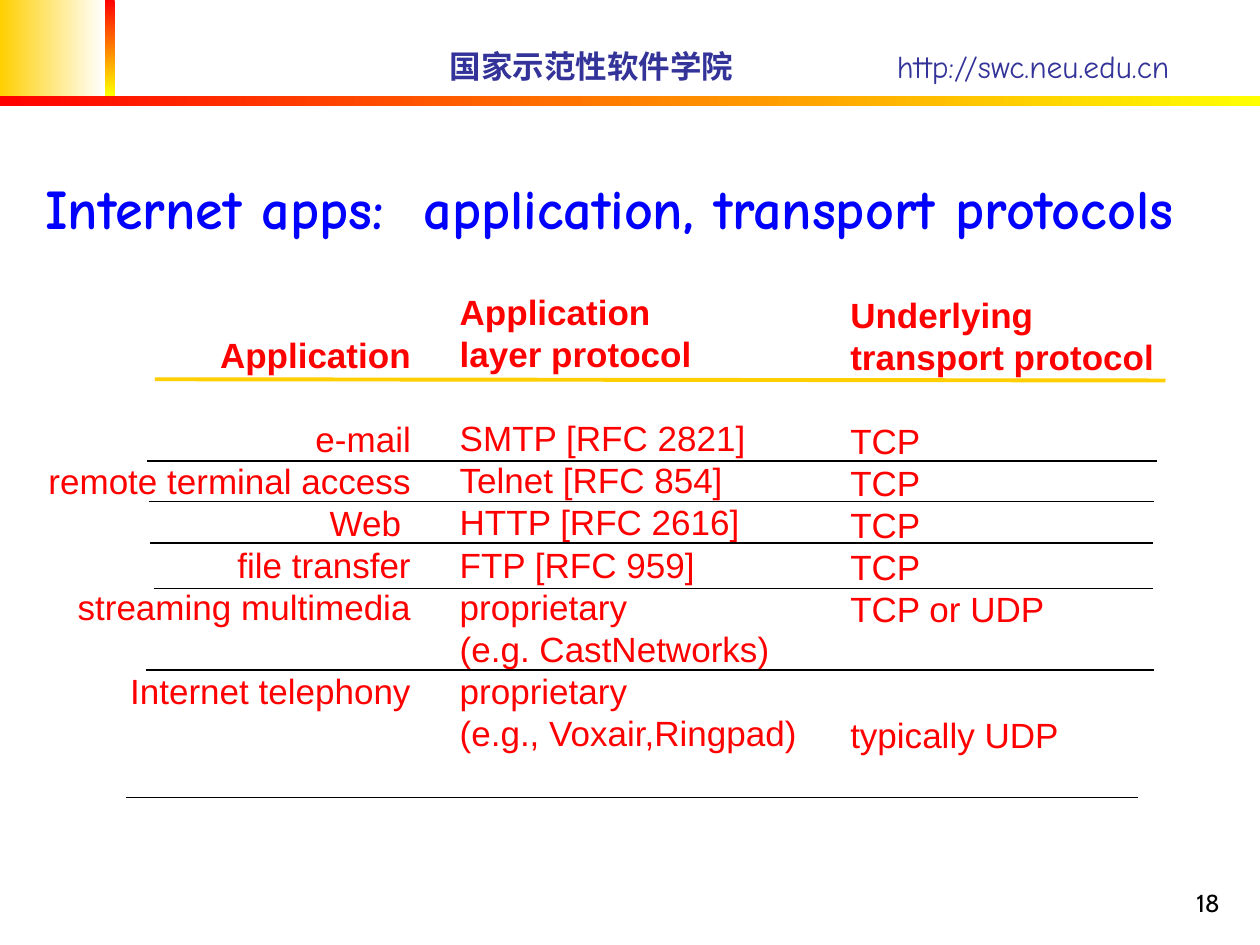
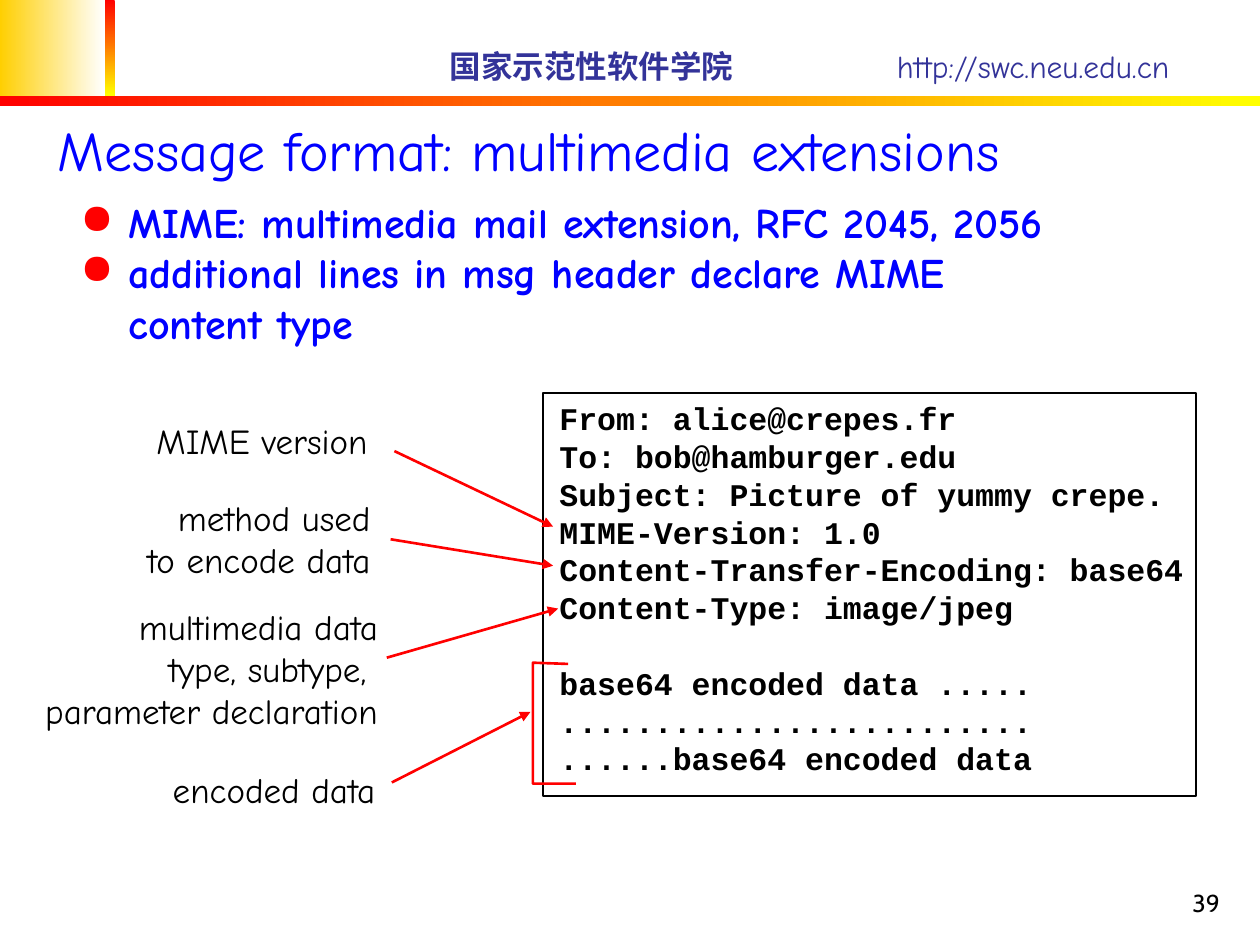
from dataclasses import dataclass

from lxml import etree
from pptx import Presentation
from pptx.dml.color import RGBColor
from pptx.enum.shapes import MSO_CONNECTOR, MSO_SHAPE
from pptx.enum.text import MSO_ANCHOR, PP_ALIGN
from pptx.oxml.ns import qn
from pptx.util import Inches, Pt

LEFT, CENTER, RIGHT = PP_ALIGN.LEFT, PP_ALIGN.CENTER, PP_ALIGN.RIGHT
TOP, MIDDLE, BOTTOM = MSO_ANCHOR.TOP, MSO_ANCHOR.MIDDLE, MSO_ANCHOR.BOTTOM
RECTANGLE, STRAIGHT = MSO_SHAPE.RECTANGLE, MSO_CONNECTOR.STRAIGHT


@dataclass(frozen=True)
class Theme:
    gold: str = "FFCF01"
    white: str = "FFFFFF"
    red: str = "FF0000"
    yellow: str = "FFFF00"
    blue: str = "0000FF"
    navy: str = "333399"
    black: str = "000000"
    font: str = "Comic Neue"
    column_font: str = "Arial"
    code_font: str = "Courier New"
    number_font: str = "Cabin"
    title_size: int = 32
    bullet_size: int = 24
    text_size: int = 20
    small_size: int = 18
    number_size: int = 14
    leading: float = 1.2


THEME = Theme()


def rgb(color):
    return RGBColor.from_string(color)


def inches(values):
    return [Inches(v) for v in values]


def add_bullet(p):
    p_pr = p._p.get_or_add_pPr()
    p_pr.set("marL", str(Inches(0.38)))
    p_pr.set("indent", str(Inches(-0.38)))
    color = etree.SubElement(p_pr, qn("a:buClr"))
    etree.SubElement(color, qn("a:srgbClr")).set("val", THEME.red)
    etree.SubElement(p_pr, qn("a:buChar")).set("char", "●")


def write_text(sp, text, size=THEME.text_size, font=THEME.font, color=THEME.black,
               bold=False, bold_lines=0, align=LEFT, anchor=TOP, gaps=None, bullets=False):
    """Write one paragraph per line; gaps maps a line index to the empty lines above it."""
    tf = sp.text_frame
    tf.word_wrap = True
    tf.vertical_anchor = anchor
    for i, line in enumerate(text.split("\n")):
        p = tf.paragraphs[0] if i == 0 else tf.add_paragraph()
        p.alignment = align
        p.line_spacing = Pt(size * THEME.leading)
        p.space_before = Pt(size * THEME.leading * (gaps or {}).get(i, 0))
        if bullets:
            add_bullet(p)
        r = p.add_run()
        r.text = line
        r.font.size = Pt(size)
        r.font.name = font
        r.font.bold = bold or i < bold_lines
        r.font.color.rgb = rgb(color)


def add_text(slide, box, text, **fmt):
    write_text(slide.shapes.add_textbox(*inches(box)), text, **fmt)


def add_gradient_bar(slide, box, start, end, angle=0):
    sp = slide.shapes.add_shape(RECTANGLE, *inches(box))
    sp.shadow.inherit = False
    sp.line.fill.background()
    sp.fill.gradient()
    sp.fill.gradient_angle = angle
    for stop, color in zip(sp.fill.gradient_stops, (start, end)):
        stop.color.rgb = rgb(color)


def add_line(slide, start, end, color, width, arrow=False):
    line = slide.shapes.add_connector(STRAIGHT, *inches(start + end))
    line.line.color.rgb = rgb(color)
    line.line.width = Pt(width)
    if arrow:
        etree.SubElement(line.line._get_or_add_ln(), qn("a:tailEnd")).set("type", "triangle")
    etree.SubElement(line._element.spPr, qn("a:effectLst"))


def add_bracket(slide, points, color, width):
    start, *rest = [inches(point) for point in points]
    builder = slide.shapes.build_freeform(*start)
    builder.add_line_segments(rest, close=False)
    sp = builder.convert_to_shape()
    sp.shadow.inherit = False
    sp.fill.background()
    sp.line.color.rgb = rgb(color)
    sp.line.width = Pt(width)


def add_base_slide(prs, title, title_box, number, bold_title=False):
    """Add a slide with the school header, its title and its number."""
    slide = prs.slides.add_slide(prs.slide_layouts[6])
    add_gradient_bar(slide, (0, 0, 0.83, 0.76), THEME.gold, THEME.white)
    add_gradient_bar(slide, (0.83, 0, 0.08, 0.76), THEME.red, THEME.yellow, angle=270)
    add_gradient_bar(slide, (0, 0.76, 10, 0.08), THEME.red, THEME.yellow)
    header = dict(size=THEME.small_size, color=THEME.navy, anchor=MIDDLE)
    add_text(slide, (3.47, 0.32, 2.6, 0.4), "国家示范性软件学院", bold=True, **header)
    add_text(slide, (7.02, 0.32, 2.75, 0.4), "http://swc.neu.edu.cn", **header)
    add_text(slide, title_box, title, size=THEME.title_size, color=THEME.blue,
             bold=bold_title, anchor=BOTTOM)
    add_text(slide, (7.7, 6.83, 2.08, 0.5), str(number), size=THEME.number_size,
             font=THEME.number_font, align=RIGHT, anchor=BOTTOM)
    return slide


def add_protocols_slide(prs):
    slide = add_base_slide(prs, "Internet apps:  application, transport protocols",
                           (0.26, 0.71, 9.57, 1.25), 18, bold_title=True)
    column = dict(font=THEME.column_font, color=THEME.red)
    applications = ("Application\ne-mail\nremote terminal access\nWeb \n"
                    "file transfer\nstreaming multimedia\nInternet telephony")
    protocols = ("Application\nlayer protocol\nSMTP [RFC 2821]\nTelnet [RFC 854]\n"
                 "HTTP [RFC 2616]\nFTP [RFC 959]\nproprietary\n(e.g. CastNetworks)\n"
                 "proprietary\n(e.g., Voxair,Ringpad)")
    transports = ("Underlying\ntransport protocol\nTCP\nTCP\nTCP\nTCP\n"
                  "TCP or UDP\ntypically UDP")
    add_text(slide, (0.16, 2.6, 3.2, 3.44), applications, bold_lines=1, align=RIGHT,
             gaps={1: 1, 6: 1}, **column)
    add_text(slide, (3.55, 2.26, 3.05, 3.77), protocols, bold_lines=2, gaps={2: 1}, **column)
    add_text(slide, (6.65, 2.28, 2.87, 3.77), transports, bold_lines=2,
             gaps={2: 1, 7: 2}, **column)

    add_line(slide, (1.23, 3.01), (9.25, 3.02), THEME.gold, 2.25)
    row_rules = [(1.17, 9.18, 3.66), (1.18, 9.16, 3.98), (1.19, 9.15, 4.31),
                 (1.22, 9.15, 4.67), (1.16, 9.16, 5.32), (1, 9.03, 6.33)]
    for left, right, y in row_rules:
        add_line(slide, (left, y), (right, y), THEME.black, 1)


def add_message_box(slide):
    sp = slide.shapes.add_shape(RECTANGLE, *inches((4.31, 3.12, 5.18, 3.2)))
    sp.shadow.inherit = False
    sp.fill.background()
    sp.line.color.rgb = rgb(THEME.black)
    sp.line.width = Pt(1)
    sp.text_frame.margin_left = Inches(0.13)
    sp.text_frame.margin_right = 0
    message = ("From: alice@crepes.fr\nTo: bob@hamburger.edu\n"
               "Subject: Picture of yummy crepe.\nMIME-Version: 1.0\n"
               "Content-Transfer-Encoding: base64\nContent-Type: image/jpeg\n"
               "base64 encoded data .....\n.........................\n"
               "......base64 encoded data")
    write_text(sp, message, size=THEME.small_size, font=THEME.code_font, bold=True, gaps={6: 1})


def add_mime_slide(prs):
    slide = add_base_slide(prs, "Message format: multimedia extensions",
                           (0.36, 0.25, 9.39, 1.25), 39)
    add_text(slide, (0.54, 1.51, 8.01, 1.4),
             "MIME: multimedia mail extension, RFC 2045, 2056\n"
             "additional lines in msg header declare MIME content type",
             size=THEME.bullet_size, color=THEME.blue, bold=True, bullets=True)
    add_message_box(slide)

    callouts = [
        ("MIME version", (1.04, 3.28, 2.08, 0.44), CENTER, (3.13, 3.58), (4.39, 4.18)),
        ("method used\nto encode data", (0.84, 3.89, 2.2, 0.77), RIGHT,
         (3.1, 4.28), (4.39, 4.49)),
        ("multimedia data\ntype, subtype, \nparameter declaration", (0.1, 4.76, 3, 1.1), RIGHT,
         (3.07, 5.22), (4.43, 4.83)),
        ("encoded data", (1.17, 6.05, 2.01, 0.44), CENTER, (3.11, 6.21), (4.21, 5.65)),
    ]
    for label, box, align, start, end in callouts:
        add_text(slide, box, label, align=align)
        add_line(slide, start, end, THEME.red, 1.5, arrow=True)
    add_bracket(slide, [(4.51, 5.27), (4.23, 5.26), (4.23, 6.22), (4.57, 6.22)], THEME.red, 1.5)


def main():
    prs = Presentation()
    prs.slide_width, prs.slide_height = Inches(10), Inches(7.5)
    add_protocols_slide(prs)
    add_mime_slide(prs)
    prs.save("out.pptx")


if __name__ == "__main__":
    main()
